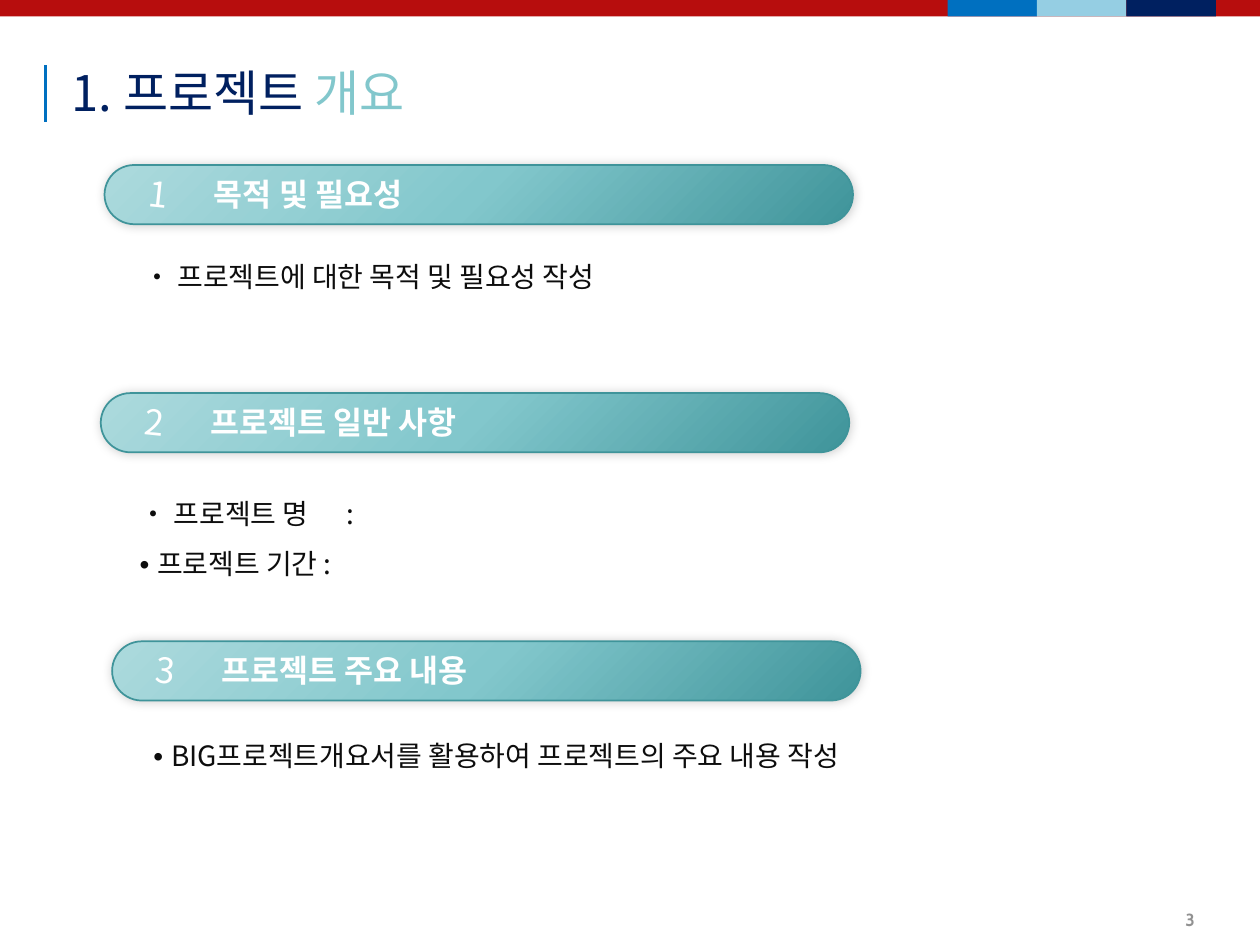
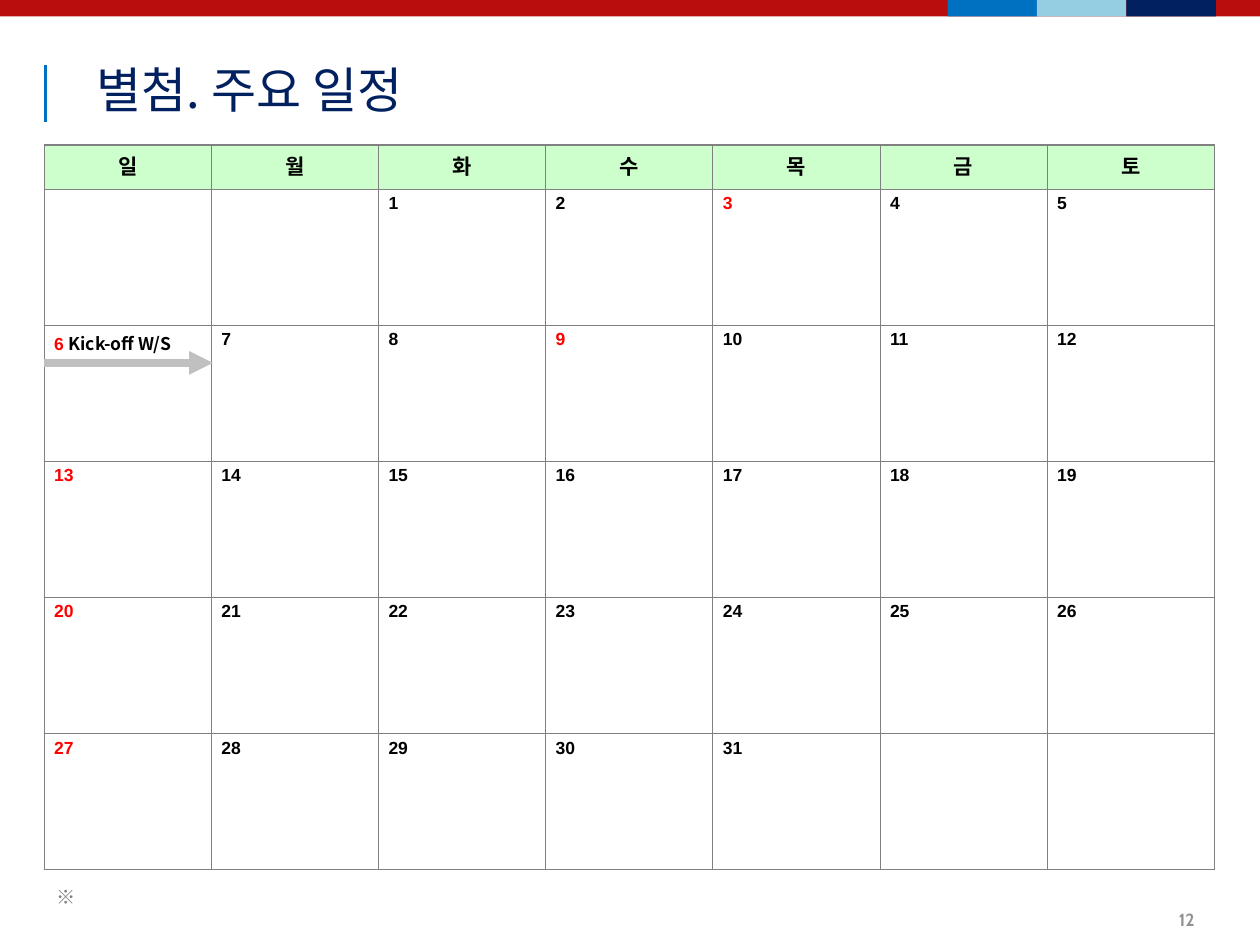
from dataclasses import dataclass

from lxml.etree import SubElement
from pptx import Presentation
from pptx.dml.color import RGBColor
from pptx.enum.shapes import MSO_CONNECTOR as Connector, MSO_SHAPE as Preset
from pptx.enum.text import MSO_ANCHOR as Anchor, PP_ALIGN as Align
from pptx.oxml.ns import qn
from pptx.util import Inches, Pt

COLORS = {
    "red": "B70D0D", "blue": "0070C0", "sky": "95CEE3", "navy": "002060",
    "mint": "ACDADD", "teal": "82C7CC", "deep_teal": "3F949A",
    "white": "FFFFFF", "black": "000000", "ink": "0D0D0D",
    "gray": "808080", "silver": "C0C0C0", "footer": "595959",
    "header": "CCFFCC", "holiday": "FF0000",
}
KOREAN, LATIN, FOOTER_FONT = "Noto Sans CJK KR", "Arial", "Cabin"


@dataclass
class Span:
    text: str
    color: str = "ink"
    size: float = 16
    font: str = KOREAN
    bold: bool = False


@dataclass
class Band:
    left: float
    width: float
    color: str


@dataclass
class Section:
    number: str
    heading: str
    left: float
    top: float
    width: float


BANDS = [Band(0, 10, "red")] + [
    Band(7.52 + 0.71 * i, 0.71, color) for i, color in enumerate(("blue", "sky", "navy"))
]
SECTIONS = [
    Section("1", "목적 및 필요성", 0.83, 1.31, 1.9),
    Section("2", "프로젝트 일반 사항", 0.8, 3.12, 2.4),
    Section("3", "프로젝트 주요 내용", 0.89, 5.09, 2.4),
]
WEEKDAYS = "일월화수목금토"
HOLIDAYS = (3, 9)
EVENTS = {6: "Kick-off W/S"}


def rgb(name: str) -> RGBColor:
    return RGBColor.from_string(COLORS[name])


# Text
def write(para, spans: list[Span]) -> None:
    for span in spans:
        run = para.add_run()
        run.text = span.text
        run.font.size = Pt(span.size)
        run.font.bold = span.bold
        run.font.name = span.font
        run.font.color.rgb = rgb(span.color)
        SubElement(run.font._element, qn("a:ea")).set("typeface", span.font)


def add_text(page, left, top, width, height, *paragraphs: list[Span], anchor=Anchor.TOP,
             align=Align.LEFT, wrap=True, spacing=None, before=0, tab=None, rotation=0):
    box = page.shapes.add_textbox(Inches(left), Inches(top), Inches(width), Inches(height))
    box.rotation = rotation
    frame = box.text_frame
    frame.word_wrap = wrap
    frame.vertical_anchor = anchor
    for index, spans in enumerate(paragraphs):
        para = frame.add_paragraph() if index else frame.paragraphs[0]
        para.alignment = align
        para.space_before = Pt(before)
        if spacing:
            para.line_spacing = spacing
        if tab:
            stops = SubElement(para._p.get_or_add_pPr(), qn("a:tabLst"))
            SubElement(stops, qn("a:tab"), pos=str(Inches(tab)), algn="l")
        write(para, spans)
    return box


# Lines and shapes
def add_line(page, start, end, color: str, width: float, arrow: bool = False) -> None:
    line = page.shapes.add_connector(
        Connector.STRAIGHT, *(Inches(value) for value in (*start, *end)))
    line.line.color.rgb = rgb(color)
    line.line.width = Pt(width)
    if arrow:
        SubElement(line.line._get_or_add_ln(), qn("a:tailEnd"), type="triangle")
    SubElement(line._element.spPr, qn("a:effectLst"))


def add_shape(page, preset, left, top, width, height):
    shape = page.shapes.add_shape(
        preset, Inches(left), Inches(top), Inches(width), Inches(height))
    shape.shadow.inherit = False
    return shape


def add_color(parent, name: str, alpha: int = 100) -> None:
    color = SubElement(parent, qn("a:srgbClr"), val=COLORS[name])
    if alpha < 100:
        SubElement(color, qn("a:alpha"), val=str(alpha * 1000))


def add_section(page, section: Section) -> None:
    left, top = section.left, section.top
    pill = add_shape(page, Preset.ROUNDED_RECTANGLE, left, top, 5.94, 0.47)
    pill.adjustments[0] = 0.5
    pill.line.color.rgb = rgb("deep_teal")
    pill.line.width = Pt(1)
    # Three-stop diagonal gradient
    pill.fill.gradient()
    pill.fill.gradient_angle = 315
    properties = pill._element.spPr
    stops = properties.find(qn("a:gradFill")).find(qn("a:gsLst"))
    stops.clear()
    for position, name in ((0, "mint"), (50, "teal"), (100, "deep_teal")):
        add_color(SubElement(stops, qn("a:gs"), pos=str(position * 1000)), name)
    # Soft glow-like shadow
    shadow = SubElement(properties.find(qn("a:effectLst")), qn("a:outerShdw"),
                        blurRad=str(Pt(6)), dist="0", dir=str(315 * 60000))
    add_color(shadow, "black", 20)
    # Number and heading
    add_text(page, left + 0.25, top + 0.01, 0.39, 0.44,
             [Span(section.number, "white", 20)], wrap=False, rotation=6)
    add_text(page, left + 0.77, top + 0.03, section.width, 0.4,
             [Span(section.heading, "white", 18, bold=True)], wrap=False)


# Shared page frame
def add_page(deck, number: int):
    page = deck.slides.add_slide(deck.slide_layouts[6])
    for band in BANDS:
        shape = add_shape(page, Preset.RECTANGLE, band.left, 0, band.width, 0.13)
        shape.fill.solid()
        shape.fill.fore_color.rgb = rgb(band.color)
        shape.line.fill.background()
    add_line(page, (0.36, 0.52), (0.36, 0.97), "blue", 2)
    footer = add_text(page, 8.62, 7.16, 0.96, 0.27,
                      [Span(str(number), "footer", 10, FOOTER_FONT, True)],
                      anchor=Anchor.MIDDLE, align=Align.RIGHT)
    for color in footer._element.iter(qn("a:srgbClr")):
        SubElement(color, qn("a:alpha"), val="65000")
    return page


def add_title(page, left: float, top: float, height: float, *spans: Span) -> None:
    add_text(page, left, top, 7.6, height, list(spans), anchor=Anchor.BOTTOM, before=4)


# Calendar
def set_borders(cell, **widths: float) -> None:
    properties = cell._tc.get_or_add_tcPr()
    for index, (side, width) in enumerate(widths.items()):
        line = properties.makeelement(qn(f"a:ln{side}"), {"w": str(Pt(width))})
        add_color(SubElement(line, qn("a:solidFill")), "gray")
        properties.insert(index, line)


def day_spans(day: int, column: int) -> list[Span]:
    if not 1 <= day <= 31:
        return []
    color = "holiday" if column == 0 or day in HOLIDAYS else "black"
    event = EVENTS.get(day)
    spans = [Span(f"{day} " if event else str(day), color, 10, LATIN, True)]
    if event:
        spans.append(Span(event, "black", 10, bold=True))
    return spans


def add_calendar(page) -> None:
    weeks, days = 5, len(WEEKDAYS)
    table = page.shapes.add_table(weeks + 1, days, Inches(0.35), Inches(1.15),
                                  Inches(9.29), Inches(5.75)).table
    table.first_row = table.horz_banding = False
    for column in table.columns:
        column.width = Inches(9.29 / days)
    for index, row in enumerate(table.rows):
        row.height = Inches(1.08 if index else 0.35)
        for column, cell in enumerate(row.cells):
            cell.margin_left = cell.margin_right = Inches(0.08)
            cell.margin_top = cell.margin_bottom = Inches(0.04)
            cell.fill.solid()
            cell.fill.fore_color.rgb = rgb("white" if index else "header")
            para = cell.text_frame.paragraphs[0]
            if index:
                write(para, day_spans((index - 1) * days + column - 1, column))
            else:
                cell.vertical_anchor = Anchor.MIDDLE
                para.alignment = Align.CENTER
                para.space_before = Pt(2.4)
                write(para, [Span(WEEKDAYS[column], "black", 12, LATIN, True)])
            set_borders(cell, L=0.5, R=1 if column == days - 1 else 0.5,
                        T=0.5 if index else 1, B=1 if index == weeks else 0.5)


# Slides
def build_overview(deck) -> None:
    page = add_page(deck, 3)
    add_title(page, 0.47, 0.23, 0.78, Span("1. 프로젝트", "navy", 28), Span(" 개요", "teal", 28))
    for section in SECTIONS:
        add_section(page, section)
    bullet = Span("• ", font=LATIN)
    add_text(page, 1.04, 1.96, 7.74, 0.42,
             [Span("• 프로젝트에 대한 목적 및 필요성 작성")], spacing=1.2)
    add_text(page, 1.01, 3.76, 6.5, 0.86, [Span("• 프로젝트 명\t:")],
             [bullet, Span("프로젝트 기간 :")], spacing=1.5, tab=1.64)
    add_text(page, 1.12, 5.76, 7.74, 0.39,
             [bullet, Span("BIG프로젝트개요서를 활용하여 프로젝트의 주요 내용 작성")], spacing=1.2)


def build_schedule(deck) -> None:
    page = add_page(deck, 12)
    add_title(page, 0.67, 0.15, 0.84, Span("별첨. 주요 일정", "navy", 28))
    add_calendar(page)
    add_line(page, (0.35, 2.88), (1.69, 2.88), "silver", 4.5, arrow=True)
    add_text(page, 0.35, 6.98, 4.09, 0.29, [Span("※", "gray", 11, bold=True)])


def main() -> None:
    deck = Presentation()
    deck.slide_width, deck.slide_height = Inches(10), Inches(7.5)
    build_overview(deck)
    build_schedule(deck)
    deck.save("out.pptx")


if __name__ == "__main__":
    main()
